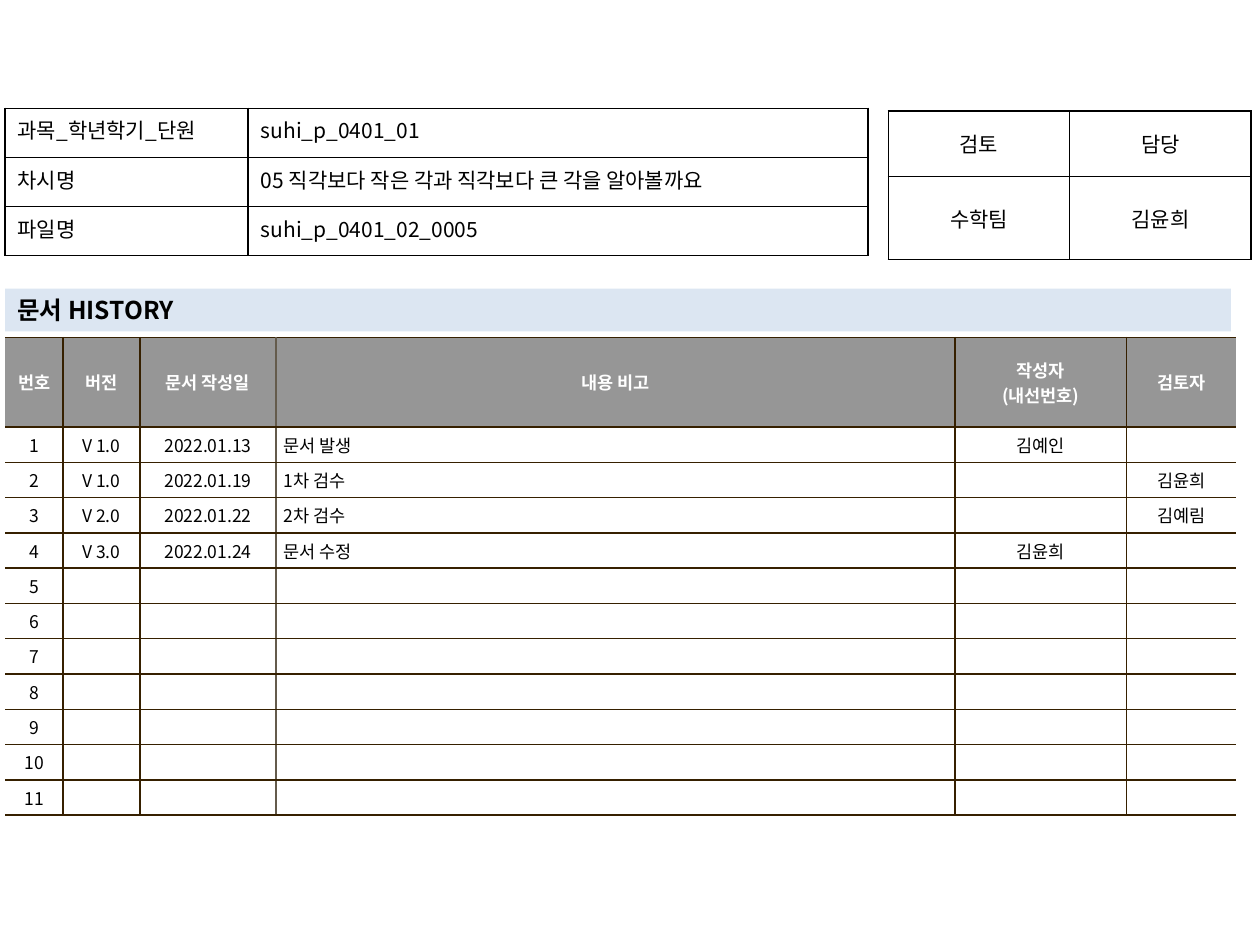
from dataclasses import dataclass
from typing import Optional

from lxml.etree import SubElement
from pptx import Presentation
from pptx.dml.color import RGBColor
from pptx.enum.shapes import MSO_SHAPE as Shape
from pptx.enum.text import MSO_ANCHOR as Anchor, MSO_AUTO_SIZE as AutoSize, PP_ALIGN as Align
from pptx.oxml.ns import qn
from pptx.util import Inches, Pt

FONT = "Noto Sans CJK KR"
BLACK, WHITE, BROWN, TAUPE = "000000", "FFFFFF", "362000", "645B4C"
GREY, PALE_BLUE = "969696", "DCE6F2"


@dataclass
class Grid:
    left: float
    top: float
    columns: list[float]
    row_heights: list[float]
    rows: list[list[str]]
    aligns: list[Align]
    verticals: list[Optional[str]]  # line colour at each column boundary
    horizontal: str
    size: int
    anchor: Anchor
    margins: tuple[float, float]
    header_fill: Optional[str] = None
    body_fill: Optional[str] = None


def rgb(value: str) -> RGBColor:
    return RGBColor.from_string(value)


def style_font(font, size: int, color: str = BLACK, bold: bool = False) -> None:
    for name, value in {"name": FONT, "size": Pt(size), "bold": bold}.items():
        setattr(font, name, value)
    font.color.rgb = rgb(color)


def set_borders(cell, left, right, top, bottom) -> None:
    """Draw 1 pt cell borders; a side given as None gets no line."""
    properties = cell._tc.get_or_add_tcPr()
    sides = {"a:lnL": left, "a:lnR": right, "a:lnT": top, "a:lnB": bottom}
    for position, (tag, color) in enumerate(sides.items()):
        line = SubElement(properties, qn(tag), w=str(Pt(1)))
        if color is None:
            SubElement(line, qn("a:noFill"))
        else:
            SubElement(SubElement(line, qn("a:solidFill")), qn("a:srgbClr"), val=color)
        properties.insert(position, line)


def write_cell(cell, text: str, align: Align, size: int, color: str, bold: bool) -> None:
    cell.text = text
    for paragraph in cell.text_frame.paragraphs:
        paragraph.alignment = align
        for run in paragraph.runs:
            style_font(run.font, size, color, bold)
        if not paragraph.runs:  # keeps an empty cell from growing its row
            SubElement(paragraph._p, qn("a:endParaRPr"), sz=str(size * 100))


def draw_grid(slide, grid: Grid) -> None:
    table = slide.shapes.add_table(
        len(grid.rows), len(grid.columns), Inches(grid.left), Inches(grid.top),
        Inches(sum(grid.columns)), Inches(sum(grid.row_heights))).table
    table.first_row = table.horz_banding = False
    for column, width in zip(table.columns, grid.columns):
        column.width = Inches(width)
    for row, height in zip(table.rows, grid.row_heights):
        row.height = Inches(height)

    across, down = (Inches(margin) for margin in grid.margins)
    cell_format = {"vertical_anchor": grid.anchor, "margin_left": across, "margin_right": across,
                   "margin_top": down, "margin_bottom": down}
    for r, texts in enumerate(grid.rows):
        is_header = r == 0 and grid.header_fill is not None
        fill = grid.header_fill if is_header else grid.body_fill
        for c, text in enumerate(texts):
            cell = table.cell(r, c)
            for name, value in cell_format.items():
                setattr(cell, name, value)
            write_cell(cell, text, Align.CENTER if is_header else grid.aligns[c],
                       grid.size, WHITE if is_header else BLACK, is_header)
            if fill:
                cell.fill.solid()
                cell.fill.fore_color.rgb = rgb(fill)
            else:
                cell.fill.background()
            set_borders(cell, grid.verticals[c], grid.verticals[c + 1],
                        grid.horizontal, grid.horizontal)


def draw_heading(slide, text: str) -> None:
    heading = slide.shapes.add_shape(
        Shape.RECTANGLE, Inches(0.04), Inches(2.29), Inches(9.73), Inches(0.34))
    heading.shadow.inherit = False
    heading.fill.solid()
    heading.fill.fore_color.rgb = rgb(PALE_BLUE)
    heading.line.fill.background()
    frame = heading.text_frame
    for name, value in {"word_wrap": True, "auto_size": AutoSize.SHAPE_TO_FIT_TEXT,
                        "vertical_anchor": Anchor.MIDDLE}.items():
        setattr(frame, name, value)
    frame.text = text
    paragraph = frame.paragraphs[0]
    paragraph.alignment = Align.LEFT
    style_font(paragraph.runs[0].font, 14, bold=True)


REVISIONS = [
    ["V 1.0", "2022.01.13", "문서 발생", "김예인", ""],
    ["V 1.0", "2022.01.19", "1차 검수", "", "김윤희"],
    ["V 2.0", "2022.01.22", "2차 검수", "", "김예림"],
    ["V 3.0", "2022.01.24", "문서 수정", "김윤희", ""],
]
REVISION_ROWS = 11
blank_revisions = [[""] * 5] * (REVISION_ROWS - len(REVISIONS))

history = Grid(
    left=0.04, top=2.68,
    columns=[0.46, 0.61, 1.08, 5.39, 1.36, 0.87],
    row_heights=[0.71] + [0.25] * REVISION_ROWS,
    rows=[["번호", "버전", "문서 작성일", "내용 비고", "작성자\n(내선번호)", "검토자"]]
    + [[str(number), *revision]
       for number, revision in enumerate(REVISIONS + blank_revisions, start=1)],
    aligns=[Align.CENTER] * 3 + [Align.LEFT] + [Align.CENTER] * 2,
    verticals=[None, BROWN, BROWN, TAUPE, BROWN, BROWN, None], horizontal=BROWN,
    size=10, anchor=Anchor.MIDDLE, margins=(0.06, 0.04),
    header_fill=GREY, body_fill=WHITE)

approval = Grid(
    left=7.05, top=0.88, columns=[1.44] * 2, row_heights=[0.52, 0.66],
    rows=[["검토", "담당"], ["수학팀", "김윤희"]],
    aligns=[Align.CENTER] * 2, verticals=[BLACK] * 3, horizontal=BLACK,
    size=12, anchor=Anchor.MIDDLE, margins=(0.1, 0.05))

lesson = Grid(
    left=0.04, top=0.86, columns=[1.93, 4.92], row_heights=[0.39] * 3,
    rows=[["과목_학년학기_단원", "suhi_p_0401_01"],
          ["차시명", "05 직각보다 작은 각과 직각보다 큰 각을 알아볼까요"],
          ["파일명", "suhi_p_0401_02_0005"]],
    aligns=[Align.JUSTIFY, Align.LEFT], verticals=[BLACK] * 3, horizontal=BLACK,
    size=12, anchor=Anchor.TOP, margins=(0.1, 0.05))


def main() -> None:
    presentation = Presentation()
    presentation.slide_width, presentation.slide_height = Inches(10), Inches(7.5)
    slide = presentation.slides.add_slide(presentation.slide_layouts[6])
    draw_grid(slide, history)
    draw_grid(slide, approval)
    draw_heading(slide, "문서 HISTORY")
    draw_grid(slide, lesson)
    presentation.save("out.pptx")


if __name__ == "__main__":
    main()
